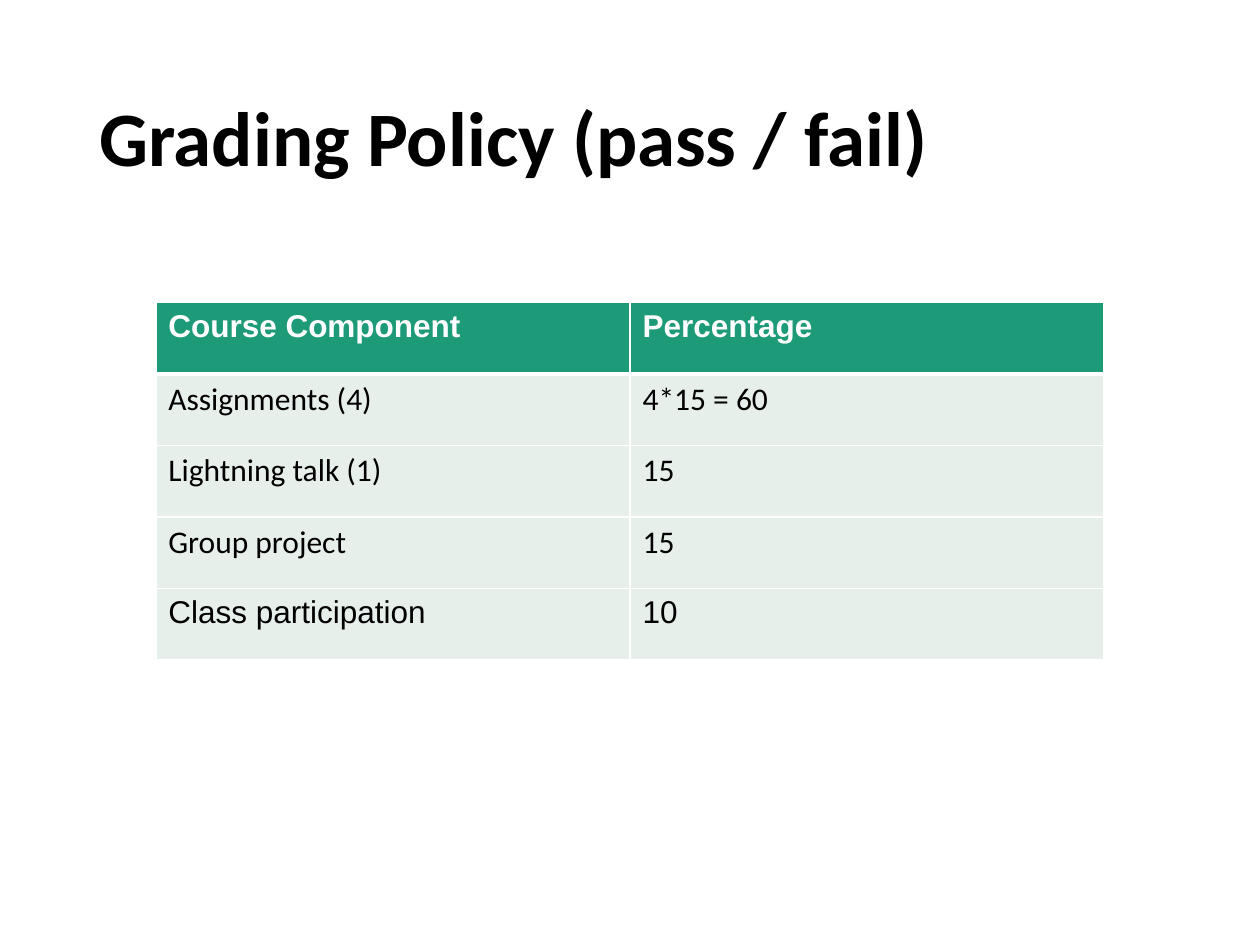
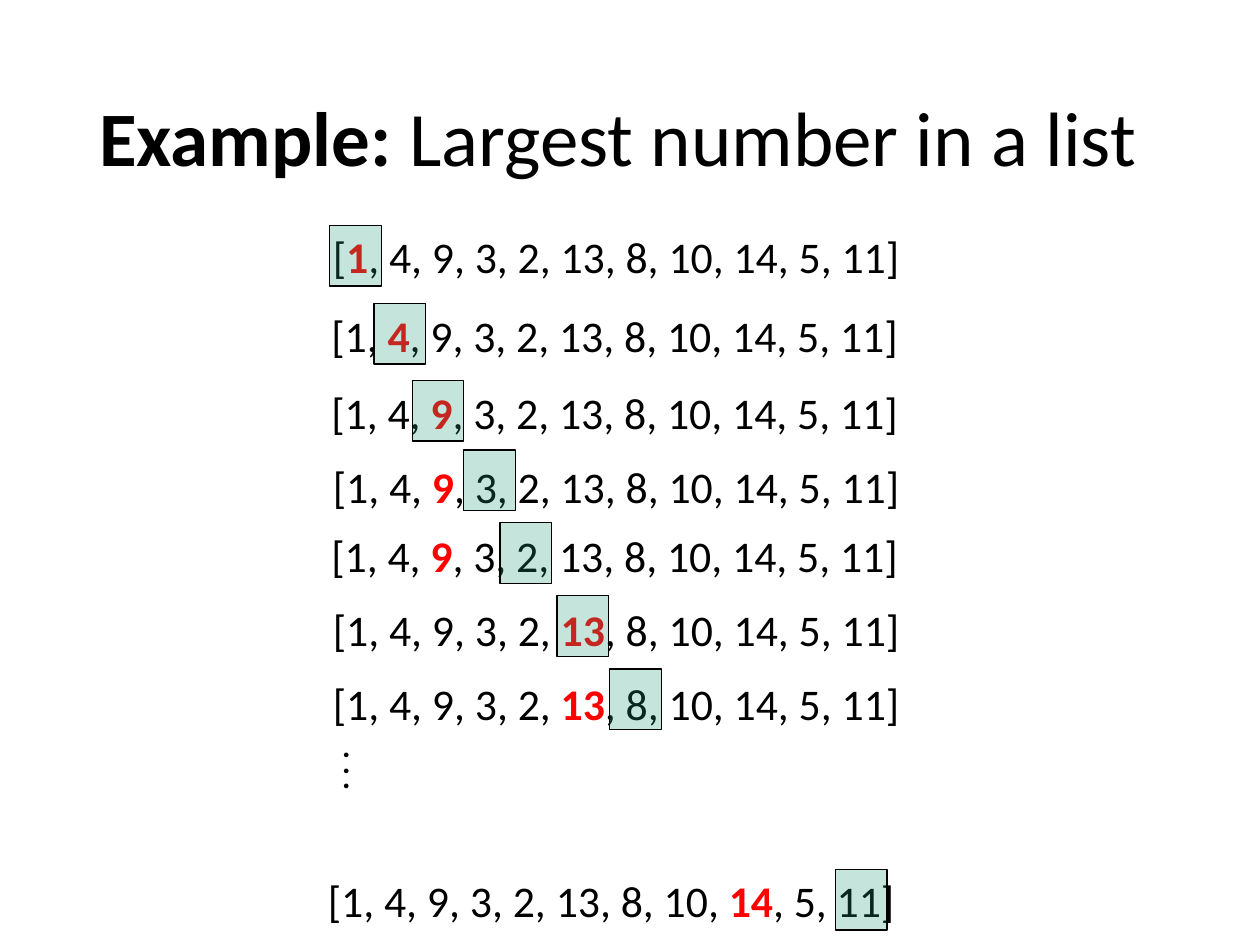
import lxml.etree
import pptx
import pptx.dml.color
import pptx.enum.shapes
import pptx.enum.text
import pptx.oxml.ns
import pptx.util

Cm = pptx.util.Cm
Pt = pptx.util.Pt
qn = pptx.oxml.ns.qn
Anchor = pptx.enum.text.MSO_ANCHOR
Align = pptx.enum.text.PP_ALIGN

GREEN, PALE, RED = "1D9A78", "E7EFEB", "FF0000"
BLACK, WHITE = "000000", "FFFFFF"

GRADES = [
    ("Course Component", "Percentage"),
    ("Assignments (4)", "4*15 = 60"),
    ("Lightning talk (1)", "15"),
    ("Group project", "15"),
    ("Class participation", "10"),
]
GRADE_FONTS = ["Arial", "Calibri", "Calibri", "Calibri", "Arial"]

NUMBERS = [1, 4, 9, 3, 2, 13, 8, 10, 14, 5, 11]
# index being looked at, list left and top, marker left and top (cm)
STEPS = [
    (0, 5.69, 4.42, 6.65, 4.55),
    (1, 5.66, 6.02, 7.54, 6.12),
    (2, 5.66, 7.57, 8.31, 7.67),
    (3, 5.69, 9.07, 9.35, 9.07),
    (4, 5.66, 10.46, 10.08, 10.54),
    (5, 5.69, 11.94, 11.23, 12.01),
    (6, 5.69, 13.44, 12.29, 13.49),
    (10, 5.59, 17.4, 16.84, 17.53),
]


def rgb(code):
    return pptx.dml.color.RGBColor.from_string(code)


class Deck:
    """Holds the shared style and the slide being filled."""

    def __init__(self):
        self.prs = pptx.Presentation()
        self.prs.slide_width, self.prs.slide_height = Cm(25.4), Cm(19.05)
        self.slide = None

    def start(self, *title):
        """Open a blank slide; title holds (words, bold) pairs."""
        self.slide = self.prs.slides.add_slide(self.prs.slide_layouts[6])
        para = self.text(1.75, 1.02, 21.9, 3.68)
        para.line_spacing = 0.9
        for words, bold in title:
            self.run(para, words, 44, bold=bold)

    def run(self, para, words, size, color=BLACK, bold=False, name="Calibri"):
        run = para.add_run()
        run.text = words
        font = run.font
        font.size, font.bold, font.name = Pt(size), bold, name
        font.color.rgb = rgb(color)

    def text(self, left, top, width, height, anchor=Anchor.MIDDLE):
        """Add a wrapping text box and return its first paragraph."""
        box = self.slide.shapes.add_textbox(Cm(left), Cm(top), Cm(width), Cm(height))
        frame = box.text_frame
        frame.word_wrap = True
        frame.vertical_anchor = anchor
        return frame.paragraphs[0]

    def marker(self, left, top):
        """Add the see-through box over the current number."""
        kind = pptx.enum.shapes.MSO_SHAPE.RECTANGLE
        box = self.slide.shapes.add_shape(kind, Cm(left), Cm(top), Cm(1.04), Cm(1.22))
        box.shadow.inherit = False
        box.fill.solid()
        box.fill.fore_color.rgb = rgb(GREEN)
        tint = box.element.spPr.find(qn("a:solidFill")).find(qn("a:srgbClr"))
        lxml.etree.SubElement(tint, qn("a:alpha"), val="26000")
        box.line.color.rgb = rgb(BLACK)
        box.line.width = Pt(0.75)

    def table(self, left, top, col, row, data, fonts):
        frame = self.slide.shapes.add_table(
            len(data), len(data[0]), Cm(left), Cm(top),
            Cm(col * len(data[0])), Cm(row * len(data)))
        grid = frame.table
        for line in grid.rows:
            line.height = Cm(row)
        for i, words in enumerate(data):
            head = i == 0
            for j, word in enumerate(words):
                cell = grid.cell(i, j)
                cell.fill.solid()
                cell.fill.fore_color.rgb = rgb(GREEN if head else PALE)
                self.run(cell.text_frame.paragraphs[0], word, 18,
                         WHITE if head else BLACK, head, fonts[i])
                self.edge(cell, 3 if i == 1 else 0.96, 3 if head else 0.96)

    def edge(self, cell, top, bottom):
        """Draw white cell borders, with own top and bottom widths."""
        props = cell._tc.get_or_add_tcPr()
        widths = {"lnL": 0.96, "lnR": 0.96, "lnT": top, "lnB": bottom}
        for spot, (tag, width) in enumerate(widths.items()):
            line = lxml.etree.Element(qn("a:" + tag), w=str(Pt(width)))
            fill = lxml.etree.SubElement(line, qn("a:solidFill"))
            lxml.etree.SubElement(fill, qn("a:srgbClr"), val=WHITE)
            props.insert(spot, line)

    def numbers(self, left, top, index):
        """Write the list with the largest number up to index in red."""
        best = NUMBERS.index(max(NUMBERS[:index + 1]))
        before = "".join(f"{n}, " for n in NUMBERS[:best])
        after = "".join(f", {n}" for n in NUMBERS[best + 1:])
        para = self.text(left, top, 13.46, 1.47)
        para.alignment = Align.CENTER
        self.run(para, "[" + before, 25)
        self.run(para, str(NUMBERS[best]), 25, RED, True)
        self.run(para, after + "]", 25)

    def dots(self, left, top):
        """Stack three dots to show that steps are left out."""
        first = self.text(left, top, 3, 1.55, Anchor.TOP)
        frame = self.slide.shapes[-1].text_frame
        for para in (first, frame.add_paragraph(), frame.add_paragraph()):
            para.line_spacing = 0.4
            self.run(para, ".", 18, bold=True)


def main():
    deck = Deck()

    deck.start(("Grading Policy (pass / fail)", True))
    deck.table(3.14, 6.1, 9.56, 1.44, GRADES, GRADE_FONTS)

    deck.start(("Example: ", True), ("Largest number in a list", False))
    for index, left, top, mark_left, mark_top in STEPS:
        deck.numbers(left, top, index)
        deck.marker(mark_left, mark_top)
    deck.dots(6.65, 14.91)

    deck.prs.save("out.pptx")


if __name__ == "__main__":
    main()
